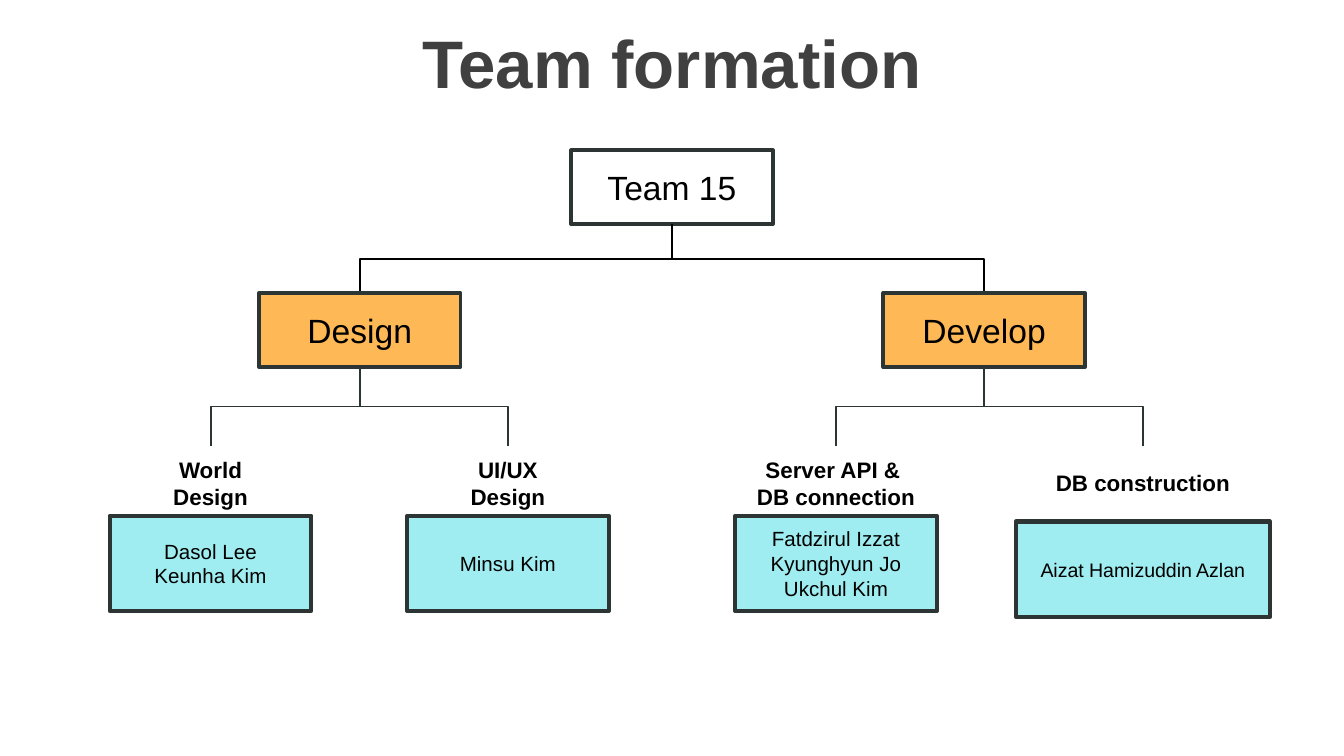
from lxml import etree
from pptx import Presentation
from pptx.dml.color import RGBColor
from pptx.enum.shapes import MSO_CONNECTOR, MSO_SHAPE
from pptx.enum.text import MSO_ANCHOR, PP_ALIGN
from pptx.oxml.ns import qn
from pptx.util import Cm, Pt

RECT = MSO_SHAPE.RECTANGLE
ELBOW = MSO_CONNECTOR.ELBOW
MIDDLE = MSO_ANCHOR.MIDDLE
CENTER = PP_ALIGN.CENTER

BLACK = RGBColor(0x00, 0x00, 0x00)
GRAY = RGBColor(0x40, 0x40, 0x40)
DARK = RGBColor(0x2C, 0x34, 0x34)
ORANGE = RGBColor(0xFE, 0xB8, 0x56)
AQUA = RGBColor(0x9F, 0xED, 0xF0)

WIDTH, HEIGHT = 25.4, 14.29
BOX_W, BOX_H = 3.81, 1.4
TEAM_H = 1.8
ROOT_Y, GROUP_Y, LABEL_Y = 2.84, 5.54, 8.43


def write(shape, lines, size, color=BLACK, bold=False):
    frame = shape.text_frame
    frame.word_wrap = True
    frame.vertical_anchor = MIDDLE
    frame.text = "\n".join(lines)
    for para in frame.paragraphs:
        para.alignment = CENTER
        para.font.name = "Arial"
        para.font.size = Pt(size)
        para.font.bold = bold
        para.font.color.rgb = color


def add_label(slide, mid, top, width, height, lines, size, color=BLACK):
    label = slide.shapes.add_textbox(
        Cm(mid - width / 2), Cm(top), Cm(width), Cm(height))
    write(label, lines, size, color, True)


def add_box(slide, mid, top, width, height, lines, size, fill=None, line=2):
    box = slide.shapes.add_shape(
        RECT, Cm(mid - width / 2), Cm(top), Cm(width), Cm(height))
    box.shadow.inherit = False
    if fill is None:
        box.fill.background()
    else:
        box.fill.solid()
        box.fill.fore_color.rgb = fill
    box.line.color.rgb = DARK
    box.line.width = Pt(line)
    write(box, lines, size)


def add_link(slide, start, top, end, bottom, color):
    mid_x, mid_y = (start + end) / 2, (top + bottom) / 2
    half_w, half_h = (bottom - top) / 2, abs(end - start) / 2
    side = 1 if end < start else -1
    link = slide.shapes.add_connector(
        ELBOW, Cm(mid_x - side * half_w), Cm(mid_y - half_h),
        Cm(mid_x + side * half_w), Cm(mid_y + half_h))
    link.rotation = 90 * side % 360
    link.line.color.rgb = color
    link.line.width = Pt(1)
    etree.SubElement(link._element.spPr, qn("a:effectLst"))


def add_team(slide, mid, top, label, names, width=BOX_W, drop=1.32, size=11):
    add_label(slide, mid, top, BOX_W, BOX_H, label, 12)
    add_box(slide, mid, top + drop, width, TEAM_H, names, size, AQUA, 2.25)


def add_group(slide, mid, top, name, teams):
    add_box(slide, mid, top, BOX_W, BOX_H, [name], 18, ORANGE)
    for spot, *team in teams:
        add_link(slide, mid, top + BOX_H, spot, LABEL_Y, DARK)
        add_team(slide, spot, LABEL_Y, *team)


def add_chart(slide, mid, top, groups):
    add_box(slide, mid, top, BOX_W, BOX_H, ["Team 15"], 18)
    for spot, name, teams in groups:
        add_link(slide, mid, top + BOX_H, spot, GROUP_Y, BLACK)
        add_group(slide, spot, GROUP_Y, name, teams)


GROUPS = [
    (6.8, "Design", [
        (3.98, ["World", "Design"], ["Dasol Lee", "Keunha Kim"]),
        (9.6, ["UI/UX", "Design"], ["Minsu Kim"]),
    ]),
    (18.6, "Develop", [
        (15.8, ["Server API & ", "DB connection"],
         ["Fatdzirul Izzat", "Kyunghyun Jo", "Ukchul Kim"]),
        (21.6, ["DB construction"], ["Aizat Hamizuddin Azlan"],
         4.8, 1.43, 10.5),
    ]),
]

deck = Presentation()
deck.slide_width, deck.slide_height = Cm(WIDTH), Cm(HEIGHT)
page = deck.slides.add_slide(deck.slide_layouts[6])
add_label(page, WIDTH / 2, 0.08, WIDTH, 2.16, ["Team formation"], 36, GRAY)
add_chart(page, WIDTH / 2, ROOT_Y, GROUPS)
deck.save("out.pptx")
